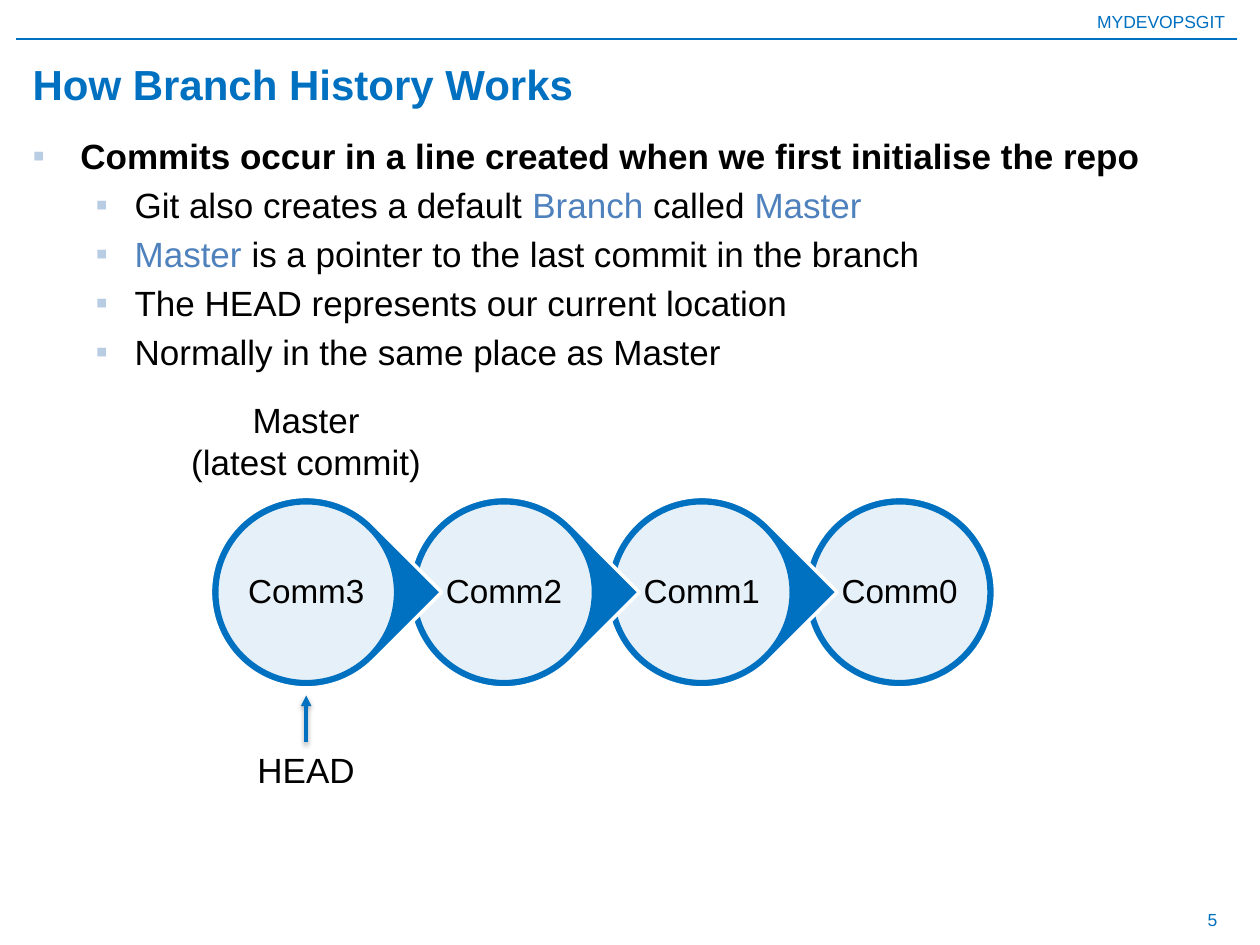
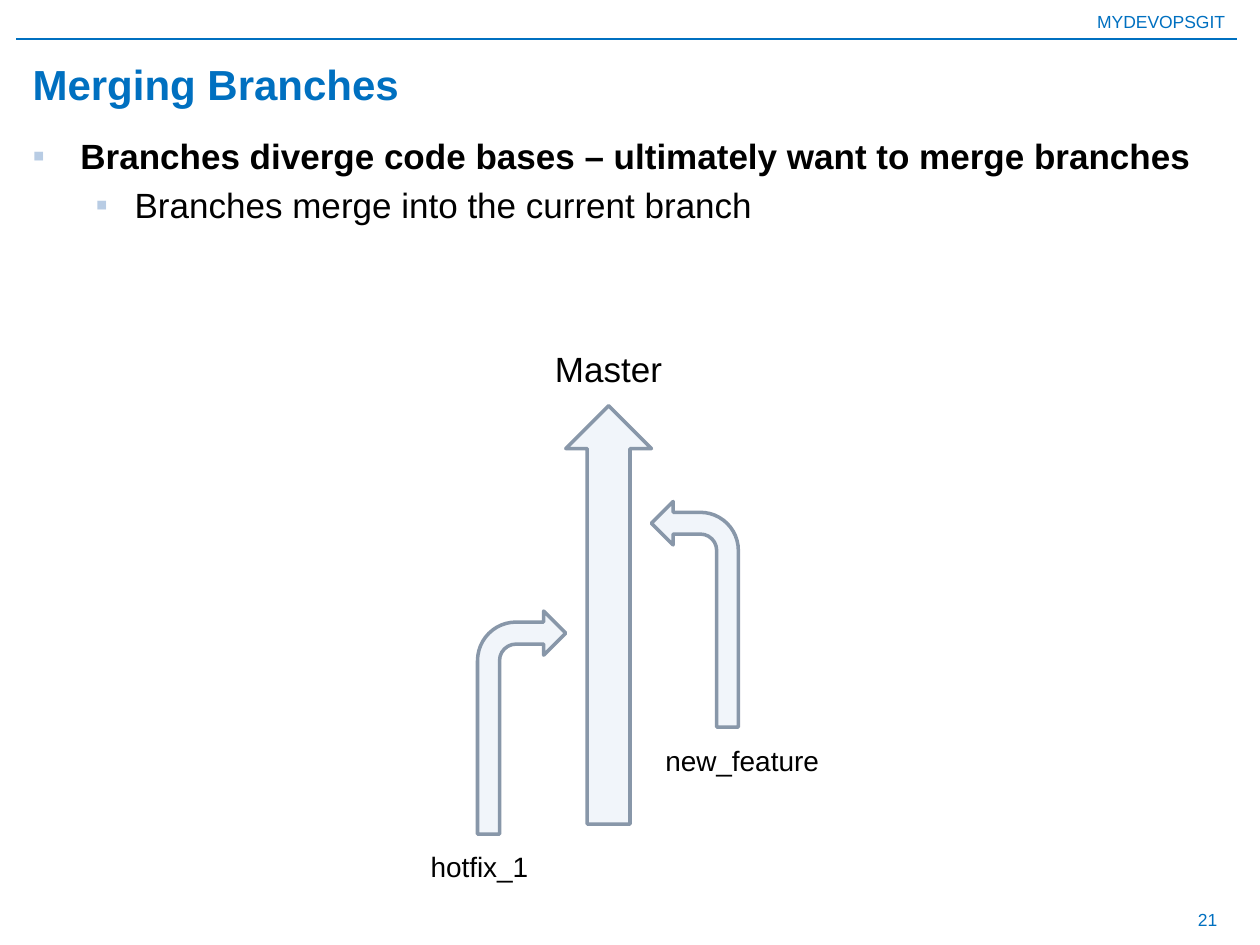
from dataclasses import dataclass

from lxml.etree import SubElement
from pptx import Presentation
from pptx.dml.color import RGBColor
from pptx.enum.shapes import MSO_CONNECTOR, MSO_SHAPE as Preset
from pptx.enum.text import MSO_ANCHOR as Anchor, PP_ALIGN as Align
from pptx.oxml.ns import qn
from pptx.shapes.autoshape import Shape
from pptx.shapes.connector import Connector
from pptx.slide import Slide
from pptx.text.text import Font
from pptx.util import Pt

PX = 9144  # one px is a hundredth of an inch
FONT = "Arial"
BLUE, ACCENT, BULLET = "0070C0", "4F81BD", "B8CCE4"
BLACK, WHITE = "000000", "FFFFFF"
ARROW_FILL, ARROW_LINE = "F1F5FA", "8897A9"
COURSE_CODE = "MYDEVOPSGIT"


@dataclass
class Area:
    left: int
    top: int
    width: int
    height: int

    def emu(self) -> tuple[int, ...]:
        return tuple(n * PX for n in (self.left, self.top, self.width, self.height))


@dataclass
class Bullet:
    text: str  # words between asterisks take the accent colour
    level: int = 1


@dataclass
class Style:
    size: int = 20
    color: str = BLACK
    bold: bool = False
    align: Align = Align.CENTER
    anchor: Anchor = Anchor.TOP


@dataclass
class BranchArrow:
    preset: Preset
    area: Area
    flipped: bool
    label: str
    label_area: Area
    label_size: int


HEADER = Style(10, BLUE, align=Align.RIGHT)
NUMBER = Style(10, BLUE, align=Align.RIGHT, anchor=Anchor.MIDDLE)
TITLE = Style(24, BLUE, True, Align.LEFT, Anchor.MIDDLE)
COMMIT = Style(19, anchor=Anchor.MIDDLE)
LABEL = Style()

# Left margin and hanging indent of each bullet level
INDENTS = ((38, -38), (81, -31))

COMMITS = ("Comm3", "Comm2", "Comm1", "Comm0")
COMMIT_LEFT, COMMIT_TOP, COMMIT_SIZE, COMMIT_STEP = 167, 394, 152, 157
DISC_INSET, TEXT_INSET = 5, 25

HISTORY = (
    Bullet("Commits occur in a line created when we first initialise the repo", 0),
    Bullet("Git also creates a default *Branch* called *Master*"),
    Bullet("*Master *is a pointer to the last commit in the branch"),
    Bullet("The HEAD represents our current location"),
    Bullet("Normally in the same place as Master"),
)
MERGING = (
    Bullet("Branches diverge code bases – ultimately want to merge branches", 0),
    Bullet("Branches merge into the current branch"),
)
BRANCHES = (
    BranchArrow(Preset.BENT_ARROW, Area(379, 485, 70, 177), False,
                "hotfix_1", Area(331, 669, 99, 37), 16),
    BranchArrow(Preset.UP_ARROW, Area(449, 322, 68, 332), False,
                "Master", Area(430, 271, 106, 44), 20),
    BranchArrow(Preset.BENT_ARROW, Area(517, 398, 69, 179), True,
                "new_feature", Area(517, 585, 144, 37), 16),
)


# Basic elements

def rgb(color: str) -> RGBColor:
    return RGBColor.from_string(color)


def set_font(font: Font, size: int, color: str, bold: bool = False) -> None:
    font.name, font.size, font.bold = FONT, Pt(size), bold
    font.color.rgb = rgb(color)


def fill_text(box: Shape, text: str, style: Style, wrap: bool = True) -> None:
    frame = box.text_frame
    frame.text = text
    frame.word_wrap = wrap
    frame.vertical_anchor = style.anchor
    para = frame.paragraphs[0]
    para.alignment = style.align
    set_font(para.runs[0].font, style.size, style.color, style.bold)


def add_text(page: Slide, area: Area, text: str, style: Style) -> Shape:
    box = page.shapes.add_textbox(*area.emu())
    fill_text(box, text, style)
    return box


def add_preset(page: Slide, preset: Preset, area: Area, fill: str, line: str,
               weight: float = 2) -> Shape:
    shape = page.shapes.add_shape(preset, *area.emu())
    shape.shadow.inherit = False
    shape.fill.solid()
    shape.fill.fore_color.rgb = rgb(fill)
    shape.line.color.rgb = rgb(line)
    shape.line.width = Pt(weight)
    return shape


def add_line(page: Slide, start: tuple[int, int], end: tuple[int, int],
             weight: float) -> Connector:
    ends = [n * PX for n in start + end]
    line = page.shapes.add_connector(MSO_CONNECTOR.STRAIGHT, *ends)
    line.line.color.rgb = rgb(BLUE)
    line.line.width = Pt(weight)
    SubElement(line._element.spPr, qn("a:effectLst"))
    return line


def add_bullets(page: Slide, bullets: tuple[Bullet, ...]) -> None:
    box = page.shapes.add_textbox(*Area(16, 102, 961, 570).emu())
    frame = box.text_frame
    frame.word_wrap = True
    for index, bullet in enumerate(bullets):
        para = frame.add_paragraph() if index else frame.paragraphs[0]
        para.level = bullet.level
        margin, indent = INDENTS[bullet.level]
        props = para._p.get_or_add_pPr()
        props.set("marL", str(margin * PX))
        props.set("indent", str(indent * PX))
        spacing = SubElement(props, qn("a:spcBef"))
        SubElement(spacing, qn("a:spcPct"), val="20000")
        color = SubElement(props, qn("a:buClr"))
        SubElement(color, qn("a:srgbClr"), val=BULLET)
        SubElement(props, qn("a:buFont"), typeface=FONT)
        SubElement(props, qn("a:buChar"), char="▪")
        for part, words in enumerate(bullet.text.split("*")):
            if words:
                span = para.add_run()
                span.text = words
                set_font(span.font, 20, ACCENT if part % 2 else BLACK,
                         bullet.level == 0)


def add_page(deck: Presentation, title: str, number: int,
             bullets: tuple[Bullet, ...]) -> Slide:
    page = deck.slides.add_slide(deck.slide_layouts[6])
    add_text(page, Area(0, 4, 982, 27), COURSE_CODE, HEADER)
    add_line(page, (13, 31), (982, 31), 0.75)
    add_text(page, Area(743, 710, 233, 40), str(number), NUMBER)
    add_bullets(page, bullets)
    add_text(page, Area(16, 39, 961, 55), title, TITLE)
    return page


# Commit chain

def add_commit(page: Slide, index: int) -> None:
    left = COMMIT_LEFT + index * COMMIT_STEP
    is_last = index == len(COMMITS) - 1

    def inner(inset: int) -> Area:
        size = COMMIT_SIZE - 2 * inset
        return Area(left + inset, COMMIT_TOP + inset, size, size)

    back = add_preset(page, Preset.OVAL if is_last else Preset.TEAR, inner(0),
                      BLUE, WHITE)
    if not is_last:
        back.rotation = 45
    disc = add_preset(page, Preset.OVAL, inner(DISC_INSET), WHITE, BLUE)
    color = disc._element.spPr.find(qn("a:solidFill"))[0]
    SubElement(color, qn("a:alpha"), val="90000")

    box = add_text(page, inner(TEXT_INSET), COMMITS[index], COMMIT)
    frame = box.text_frame
    frame.margin_left = frame.margin_right = 3 * PX
    frame.margin_top = frame.margin_bottom = 3 * PX
    frame.paragraphs[0].line_spacing = 0.9


def add_head_arrow(page: Slide, head: Shape) -> None:
    arrow = add_line(page, (243, 589), (243, 552), 2)
    arrow.begin_connect(head, 0)
    props = arrow._element.spPr
    SubElement(props.find(qn("a:ln")), qn("a:tailEnd"), type="triangle")
    shadow = SubElement(props.find(qn("a:effectLst")), qn("a:outerShdw"),
                        blurRad=str(Pt(3.1)), dist=str(Pt(1.6)), dir="5400000",
                        rotWithShape="0")
    color = SubElement(shadow, qn("a:srgbClr"), val=BLACK)
    SubElement(color, qn("a:alpha"), val="38000")


def build_history(deck: Presentation) -> None:
    page = add_page(deck, "How Branch History Works", 5, HISTORY)
    for index in reversed(range(len(COMMITS))):
        add_commit(page, index)
    add_text(page, Area(180, 311, 126, 44), "Master", LABEL)
    add_text(page, Area(130, 345, 226, 44), "(latest commit)", LABEL)
    head = add_text(page, Area(180, 589, 126, 44), "HEAD", LABEL)
    add_head_arrow(page, head)


# Merging branches

def build_merging(deck: Presentation) -> None:
    page = add_page(deck, "Merging Branches", 21, MERGING)
    for branch in BRANCHES:
        arrow = add_preset(page, branch.preset, branch.area, ARROW_FILL, ARROW_LINE)
        if branch.flipped:
            arrow._element.spPr.find(qn("a:xfrm")).set("flipH", "1")
    for branch in BRANCHES:
        box = add_preset(page, Preset.RECTANGLE, branch.label_area, WHITE, WHITE, 0.75)
        fill_text(box, branch.label, Style(branch.label_size), wrap=False)


def main() -> None:
    deck = Presentation()
    deck.slide_width, deck.slide_height = 1000 * PX, 750 * PX
    build_history(deck)
    build_merging(deck)
    deck.save("out.pptx")


if __name__ == "__main__":
    main()
